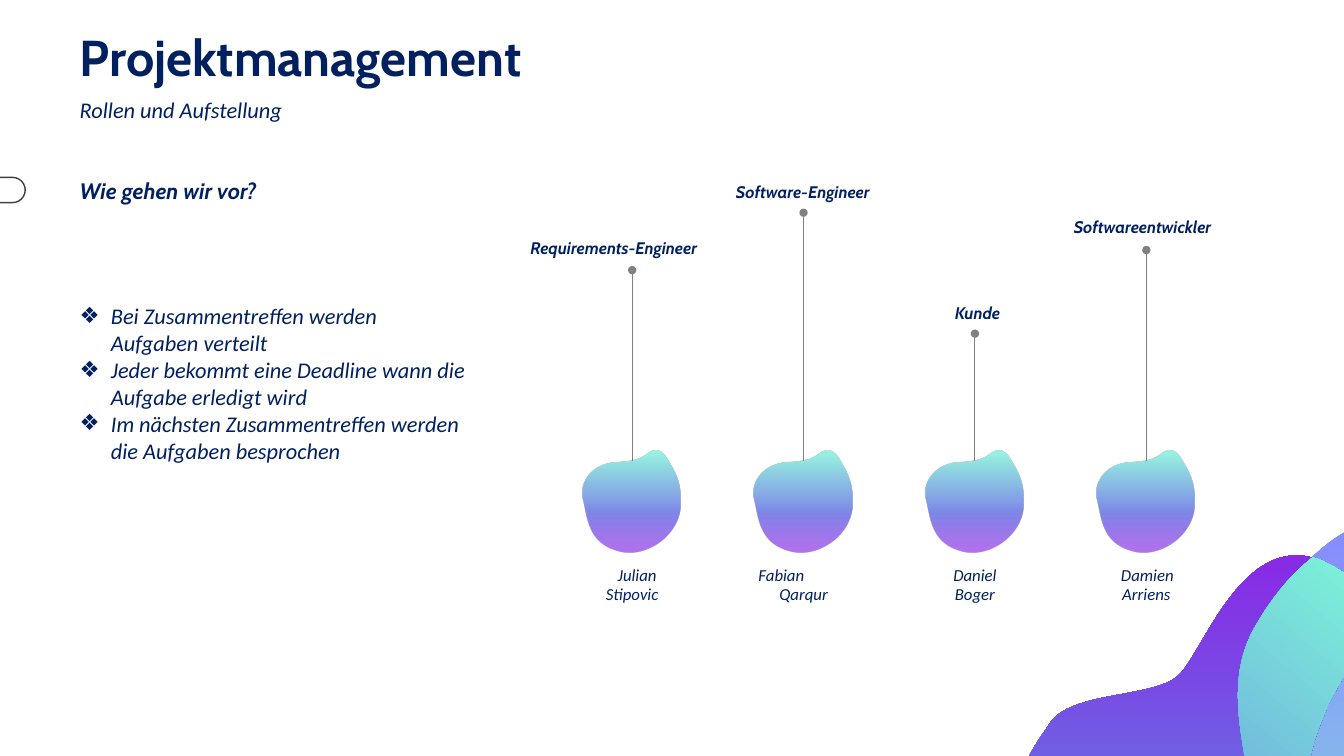
import pptx
import pptx.dml.color
import pptx.enum.shapes
import pptx.enum.text
import pptx.oxml
import pptx.oxml.ns
import pptx.util
from lxml import etree

Inches = pptx.util.Inches
Pt = pptx.util.Pt
RGBColor = pptx.dml.color.RGBColor
PP_ALIGN = pptx.enum.text.PP_ALIGN
AUTO_SIZE = pptx.enum.text.MSO_AUTO_SIZE
qn = pptx.oxml.ns.qn

NAVY = RGBColor(0x00, 0x20, 0x60)
STEM_GREY = RGBColor(0x80, 0x80, 0x80)
TAB_GREY = RGBColor(0x40, 0x40, 0x40)
MINT = RGBColor(0x7C, 0xEF, 0xD8)
INDIGO = RGBColor(0x66, 0x72, 0xE4)
VIOLET = RGBColor(0x88, 0x2B, 0xE5)
AQUA = RGBColor(0x80, 0xDE, 0xDE)
SKY = RGBColor(0x85, 0xC1, 0xE7)
PERIWINKLE = RGBColor(0x87, 0x8C, 0xFF)

TITLE = {"name": "Cabin", "size": Pt(36), "bold": True, "italic": False}
HEADING = {"name": "Cabin", "size": Pt(16), "bold": True, "italic": True}
ROLE = {**HEADING, "size": Pt(12)}
BODY = {"name": "Calibri", "size": Pt(16), "bold": False, "italic": True}
PERSON = {**BODY, "size": Pt(12)}

STEPS = [
    "Bei Zusammentreffen werden Aufgaben verteilt",
    "Jeder bekommt eine Deadline wann die Aufgabe erledigt wird",
    "Im nächsten Zusammentreffen werden die Aufgaben besprochen",
]
# role, role left, role top, stem top, first name, its centre offset, last name
TEAM = [
    ("Requirements-Engineer", 5.26, 2.36, 2.68, "Julian", 0.05, "Stipovic"),
    ("Software-Engineer", 7.3, 1.8, 2.11, "Fabian", -0.22, "Qarqur"),
    ("Kunde", 9.47, 3.0, 3.31, "Daniel", 0, "Boger"),
    ("Softwareentwickler", 10.65, 2.15, 2.48, "Damien", 0.01, "Arriens"),
]
FIRST_STEM, STEM_STEP, STEM_BOTTOM = 6.27, 1.7, 4.57

# Outlines: a start point, then Bézier curves of three points each
BLOB = [(6.44, 4.49),
        (6.37, 4.54, 6.33, 4.58, 6.1, 4.59), (5.86, 4.61, 5.74, 4.8, 5.79, 4.97),
        (5.83, 5.14, 5.84, 5.38, 6.12, 5.46), (6.39, 5.55, 6.74, 5.32, 6.75, 5.01),
        (6.76, 4.82, 6.71, 4.71, 6.65, 4.61), (6.61, 4.54, 6.56, 4.43, 6.44, 4.49)]
BLUE_WAVE = [(11.34, 9.4),
             (13.57, 8.54, 11.91, 7.23, 12.59, 6.08), (13.28, 4.93, 14.05, 5.07, 14.27, 5.3),
             (14.49, 5.53, 14.54, 5.77, 14.21, 6.16), (13.87, 6.54, 14.55, 7.28, 15.02, 7.79),
             (15.48, 8.29, 15.65, 9.43, 14.54, 9.66), (13.43, 9.88, 13.49, 9.86, 12.94, 10.76),
             (12.41, 11.65, 11.76, 11.62, 11.76, 11.62), (11.76, 11.62, 10.69, 11.5, 10.55, 10.62),
             (10.4, 9.73, 11.34, 9.4, 11.34, 9.4)]
VIOLET_WAVE = [(10.1, 10.76),
               (10.1, 10.76, 10.48, 11.63, 12.11, 11.07), (13.74, 10.51, 13.29, 8.9, 13.12, 8.33),
               (12.94, 7.76, 12.92, 7.61, 13.15, 7.05), (13.38, 6.5, 13.99, 6, 13.17, 5.59),
               (12.35, 5.18, 11.94, 6.47, 11.69, 6.7), (11.44, 6.93, 10.62, 6.85, 10.41, 7.18),
               (10.19, 7.52, 9.89, 7.79, 10.31, 8.97), (10.31, 8.97, 10.67, 9.51, 10.16, 10.14),
               (10.16, 10.14, 9.88, 10.51, 10.1, 10.76)]
OVERLAP = [(12.11, 11.07),
           (11.37, 11.32, 10.89, 11.28, 10.58, 11.17), (10.5, 11.05, 10.44, 10.91, 10.41, 10.74),
           (10.27, 9.85, 11.21, 9.53, 11.21, 9.53), (13.44, 8.66, 11.77, 7.35, 12.46, 6.2),
           (12.64, 5.89, 12.83, 5.68, 13.02, 5.53), (13.07, 5.54, 13.12, 5.56, 13.17, 5.59),
           (13.99, 6, 13.38, 6.5, 13.15, 7.05), (12.92, 7.6, 12.94, 7.76, 13.12, 8.33),
           (13.29, 8.9, 13.74, 10.51, 12.11, 11.07)]


def bend_segments(shape, outline, shift):
    """Turn the straight segments of a freeform into the outline's curves."""
    segments = list(shape.element.spPr.iter(qn("a:lnTo")))
    for segment, curve in zip(segments, outline[1:]):
        bend = etree.Element(qn("a:cubicBezTo"))
        for x, y in zip(curve[::2], curve[1::2]):
            etree.SubElement(bend, qn("a:pt"), x=str(Inches(x + shift) - shape.left),
                             y=str(Inches(y) - shape.top))
        segment.getparent().replace(segment, bend)


def fill_gradient(shape, stops, angle):
    """Fill with (position %, colour, opacity %) stops; angle runs clockwise."""
    shape.fill.solid()
    solid = shape.element.spPr.find(qn("a:solidFill"))
    gradient = pptx.oxml.parse_xml(
        f'<a:gradFill {pptx.oxml.ns.nsdecls("a")} rotWithShape="1"><a:gsLst/></a:gradFill>')
    for position, colour, opacity in stops:
        stop = etree.SubElement(gradient[0], qn("a:gs"), pos=str(position * 1000))
        rgb = etree.SubElement(stop, qn("a:srgbClr"), val=str(colour))
        if opacity < 100:
            etree.SubElement(rgb, qn("a:alpha"), val=str(opacity * 1000))
    etree.SubElement(gradient, qn("a:lin"), ang=str(angle * 60000), scaled="0")
    solid.getparent().replace(solid, gradient)


def add_blob(slide, outline, stops, angle, shift=0):
    start_x, start_y = outline[0]
    builder = slide.shapes.build_freeform(Inches(start_x + shift), Inches(start_y))
    builder.add_line_segments(
        [(Inches(curve[-2] + shift), Inches(curve[-1])) for curve in outline[1:]], close=True)
    blob = builder.convert_to_shape()
    bend_segments(blob, outline, shift)
    blob.shadow.inherit = False
    blob.line.fill.background()
    fill_gradient(blob, stops, angle)


def add_stem(slide, x, top):
    stem = slide.shapes.add_connector(
        pptx.enum.shapes.MSO_CONNECTOR.STRAIGHT,
        Inches(x), Inches(STEM_BOTTOM), Inches(x), Inches(top))
    stem.line.color.rgb = STEM_GREY
    stem.line.width = Pt(0.75)
    etree.SubElement(stem.element.spPr.find(qn("a:ln")), qn("a:tailEnd"), type="oval")
    etree.SubElement(stem.element.spPr, qn("a:effectLst"))


def set_frame(frame, auto_size):
    settings = {"margin_left": 0, "margin_top": 0, "margin_right": 0, "margin_bottom": 0,
                "word_wrap": True, "auto_size": auto_size,
                "vertical_anchor": pptx.enum.text.MSO_ANCHOR.TOP}
    for key, value in settings.items():
        setattr(frame, key, value)


def format_paragraph(paragraph, style, align=PP_ALIGN.LEFT):
    paragraph.alignment = align
    for key, value in style.items():
        setattr(paragraph.font, key, value)
    paragraph.font.color.rgb = NAVY


def place(shape, left, top, width, height):
    shape.left, shape.top = Inches(left), Inches(top)
    shape.width, shape.height = Inches(width), Inches(height)


def add_label(slide, text, box, style, align=PP_ALIGN.LEFT):
    label = slide.shapes.add_textbox(*map(Inches, box))
    set_frame(label.text_frame, AUTO_SIZE.SHAPE_TO_FIT_TEXT)
    label.text_frame.text = text
    format_paragraph(label.text_frame.paragraphs[0], style, align)


def fill_title(title):
    place(title, 0.79, 0.3, 4.81, 0.56)
    set_frame(title.text_frame, AUTO_SIZE.NONE)
    title.text_frame.text = "Projektmanagement"
    heading = title.text_frame.paragraphs[0]
    heading.line_spacing = Pt(40)
    format_paragraph(heading, TITLE)


def fill_steps(body):
    place(body, 0.79, 3.0, 3.83, 1.61)
    set_frame(body.text_frame, AUTO_SIZE.NONE)
    body.text_frame.text = "\n".join(STEPS)
    for step in body.text_frame.paragraphs:
        properties = step._p.get_or_add_pPr()
        properties.set("marL", str(Inches(0.31)))
        properties.set("indent", str(-Inches(0.31)))
        etree.SubElement(properties, qn("a:buChar"), char="❖")
        step.space_before = Pt(0)
        format_paragraph(step, BODY)


def add_edge_tab(slide):
    tab = slide.shapes.add_shape(
        pptx.enum.shapes.MSO_SHAPE.ROUNDED_RECTANGLE,
        Inches(-0.24), Inches(1.76), Inches(0.49), Inches(0.25))
    tab.adjustments[0] = 0.5
    tab.shadow.inherit = False
    tab.fill.background()
    tab.line.color.rgb = TAB_GREY
    tab.line.width = Pt(1)


def add_member(slide, index, member):
    role, role_left, role_top, stem_top, first_name, offset, last_name = member
    shift = index * STEM_STEP
    x = FIRST_STEM + shift
    add_blob(slide, BLOB, [(1, MINT, 79), (61, INDIGO, 84), (98, VIOLET, 66)], 90, shift)
    add_stem(slide, x, stem_top)
    add_label(slide, role, (role_left, role_top, 2.4, 0.2), ROLE)
    add_label(slide, first_name, (x + offset - 0.45, 5.6, 0.9, 0.2), PERSON, PP_ALIGN.CENTER)
    add_label(slide, last_name, (x - 0.67, 5.79, 1.34, 0.2), PERSON, PP_ALIGN.CENTER)


def main():
    deck = pptx.Presentation()
    deck.slide_width, deck.slide_height = Inches(13.33), Inches(7.5)
    slide = deck.slides.add_slide(deck.slide_layouts[1])
    fill_title(slide.shapes.title)
    fill_steps(slide.placeholders[1])
    add_label(slide, "Rollen und Aufstellung", (0.79, 0.95, 6.81, 0.27), BODY)
    add_label(slide, "Wie gehen wir vor?", (0.79, 1.76, 3.15, 0.27), HEADING)
    add_edge_tab(slide)
    for index, member in enumerate(TEAM):
        add_member(slide, index, member)
    add_blob(slide, BLUE_WAVE, [(0, AQUA, 100), (54, SKY, 100), (100, PERIWINKLE, 100)], 270)
    add_blob(slide, VIOLET_WAVE, [(0, MINT, 100), (51, INDIGO, 100), (100, VIOLET, 100)], 270)
    add_blob(slide, OVERLAP, [(0, VIOLET, 100), (19, INDIGO, 100), (100, MINT, 100)], 310)
    deck.save("out.pptx")


if __name__ == "__main__":
    main()
